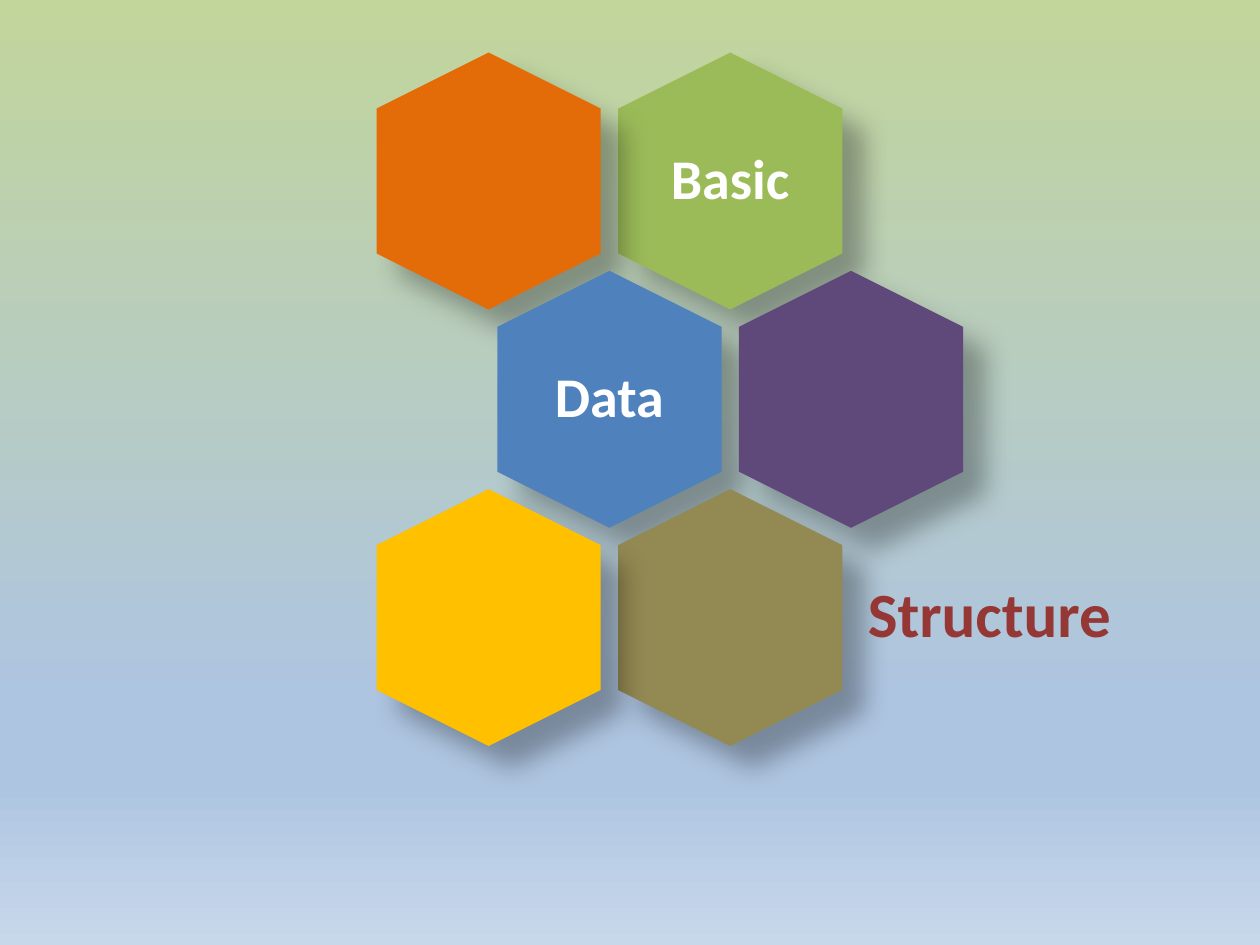
from lxml import etree
from pptx import Presentation
from pptx import util as u
from pptx.dml.color import RGBColor
from pptx.enum import shapes, text
from pptx.oxml.ns import qn

COLOURS = {
    "green": "9BBB59", "orange": "E36C09", "blue": "4F81BD",
    "purple": "5F497A", "olive": "938953", "yellow": "FFC000",
    "white": "FFFFFF", "red": "953734", "shade": "000000",
    "sky_top": "C2D59B", "sky_low": "AEC5E1", "sky_base": "C8D8EB",
}
SKY = [(0, "sky_top"), (74, "sky_low"), (83, "sky_low"), (100, "sky_base")]
CELLS = [
    (0, 1, "green", "Basic"),
    (0, 0, "orange", None),
    (1, 0, "blue", "Data"),
    (1, 1, "purple", None),
    (2, 1, "olive", None),
    (2, 0, "yellow", None),
]
CAPTION = "Structure"

FIRST_X, FIRST_Y = 9.85, 3.65
STEP_X, STEP_Y = 4.87, 4.4
LONG, SHORT = 5.18, 4.52


def rgb(name):
    return RGBColor.from_string(COLOURS[name])


def centre(row, column):
    shift = STEP_X / 2 if row % 2 else 0
    return FIRST_X + column * STEP_X + shift, FIRST_Y + row * STEP_Y


def box(x, y, width, height):
    return [u.Cm(n) for n in (x - width / 2, y - height / 2, width, height)]


def add_colour(parent, name, alpha=None):
    colour = etree.SubElement(parent, qn("a:srgbClr"), val=COLOURS[name])
    if alpha:
        etree.SubElement(colour, qn("a:alpha"), val=str(alpha * 1000))


def paint_sky(slide):
    slide.background.fill.gradient()
    gradient = slide._element.find(".//" + qn("a:gradFill"))
    for child in list(gradient):
        gradient.remove(child)
    stops = etree.SubElement(gradient, qn("a:gsLst"))
    for place, name in SKY:
        add_colour(etree.SubElement(stops, qn("a:gs"), pos=str(place * 1000)), name)
    etree.SubElement(gradient, qn("a:lin"), ang="5400000", scaled="0")


def add_cell(slide, x, y, colour):
    cell = slide.shapes.add_shape(
        shapes.MSO_SHAPE.HEXAGON, *box(x, y, LONG, SHORT))
    cell.rotation = 90
    cell.adjustments[0] = 0.25
    cell.fill.solid()
    cell.fill.fore_color.rgb = rgb(colour)
    cell.line.fill.background()
    cell.shadow.inherit = False
    effects = cell._element.spPr.find(qn("a:effectLst"))
    shadow = etree.SubElement(
        effects, qn("a:outerShdw"), blurRad=str(u.Pt(15)), dist=str(u.Pt(18)),
        dir="2700000", algn="ctr", rotWithShape="0")
    add_colour(shadow, "shade", alpha=30)


def add_label(slide, words, place, size=32, colour="white",
              align=text.PP_ALIGN.CENTER, inset=0.33):
    label = slide.shapes.add_textbox(*place)
    frame = label.text_frame
    frame.word_wrap = True
    frame.vertical_anchor = text.MSO_ANCHOR.MIDDLE
    frame.margin_left = frame.margin_right = u.Cm(inset)
    frame.margin_top = frame.margin_bottom = u.Cm(inset)
    line = frame.paragraphs[0]
    line.alignment = align
    line.line_spacing = 0.9
    run = line.add_run()
    run.text = words
    run.font.name = "Calibri"
    run.font.size = u.Pt(size)
    run.font.bold = True
    run.font.color.rgb = rgb(colour)


def main():
    deck = Presentation()
    deck.slide_width, deck.slide_height = u.Cm(25.4), u.Cm(19.05)
    slide = deck.slides.add_slide(deck.slide_layouts[6])
    paint_sky(slide)
    for row, column, colour, words in CELLS:
        x, y = centre(row, column)
        add_cell(slide, x, y, colour)
        if words:
            add_label(slide, words, box(x, y, 3.1, 3.58))
    x, y = centre(2, 1)
    add_label(slide, CAPTION, box(x + 5.29, y, 5.79, 3.1), size=36,
              colour="red", align=text.PP_ALIGN.LEFT, inset=0.38)
    deck.save("out.pptx")


if __name__ == "__main__":
    main()
